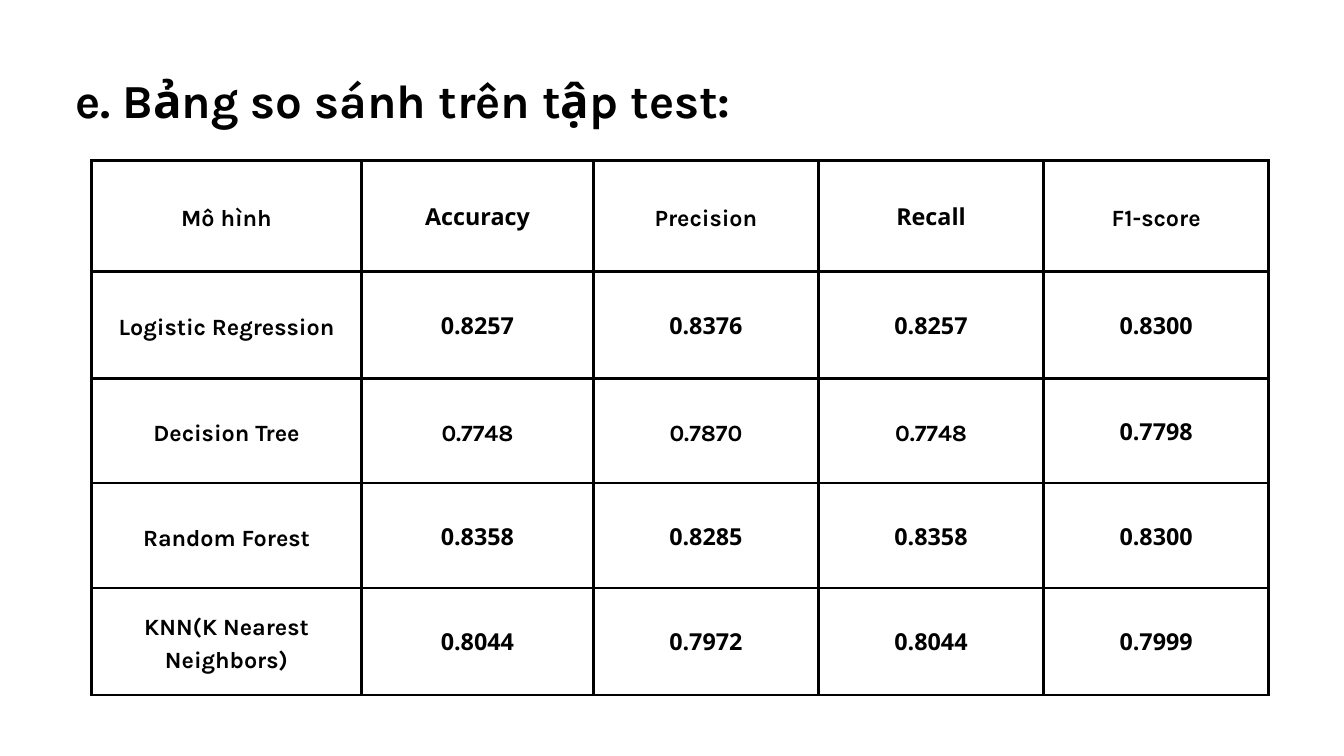
from lxml.etree import SubElement
from pptx import Presentation
from pptx.dml.color import RGBColor
from pptx.enum.text import MSO_ANCHOR, MSO_AUTO_SIZE, PP_ALIGN
from pptx.oxml.ns import qn
from pptx.util import Inches, Pt

BLACK = "000000"
WHITE = "FFFFFF"
COLS = [4.02, 3.45, 3.35, 3.35, 3.35]
ROWS = [1.65, 1.59, 1.56, 1.56, 1.59]
SCORES = [
    ["Mô hình", "Accuracy", "Precision", "Recall", "F1-score"],
    ["Logistic Regression", "0.8257", "0.8376", "0.8257", "0.8300"],
    ["Decision Tree", "0.7748", "0.7870", "0.7748", "0.7798"],
    ["Random Forest", "0.8358", "0.8285", "0.8358", "0.8300"],
    ["KNN(K Nearest Neighbors)", "0.8044", "0.7972", "0.8044", "0.7999"],
]
# Cells outside the first column that keep the heading font
KARLA = {(0, 2), (0, 4), (2, 1), (2, 2), (2, 3)}


def color(code):
    return RGBColor.from_string(code)


def write(frame, text, size, face, lead):
    """Set one bold paragraph with a fixed line height in points."""
    frame.word_wrap = True
    para = frame.paragraphs[0]
    para.text = text
    para.line_spacing = Pt(lead)
    font = para.runs[0].font
    font.size = Pt(size)
    font.name = face
    font.bold = True
    font.color.rgb = color(BLACK)
    return para


def add_title(slide, text):
    box = slide.shapes.add_textbox(
        Inches(1.12), Inches(0.91), Inches(17.75), Inches(1.06))
    frame = box.text_frame
    frame.margin_left = frame.margin_right = 0
    frame.margin_top = frame.margin_bottom = 0
    write(frame, text, 50.8, "Karla", 71.2)
    frame.auto_size = MSO_AUTO_SIZE.SHAPE_TO_FIT_TEXT


def set_border(cell, width):
    props = cell._tc.get_or_add_tcPr()
    for place, side in enumerate(("a:lnL", "a:lnR", "a:lnT", "a:lnB")):
        line = SubElement(props, qn(side), w=str(Pt(width)))
        fill = SubElement(line, qn("a:solidFill"))
        SubElement(fill, qn("a:srgbClr"), val=BLACK)
        props.insert(place, line)


def fill_cell(cell, text, face):
    cell.vertical_anchor = MSO_ANCHOR.MIDDLE
    cell.margin_left = cell.margin_right = Inches(0.21)
    cell.margin_top = cell.margin_bottom = Inches(0.21)
    cell.fill.solid()
    cell.fill.fore_color.rgb = color(WHITE)
    set_border(cell, 3)
    para = write(cell.text_frame, text, 25, face, 35)
    para.alignment = PP_ALIGN.CENTER


def add_scores(slide):
    frame = slide.shapes.add_table(
        len(ROWS), len(COLS), Inches(1.36), Inches(2.39),
        Inches(sum(COLS)), Inches(sum(ROWS)))
    table = frame.table
    for col, width in zip(table.columns, COLS):
        col.width = Inches(width)
    for row, height in zip(table.rows, ROWS):
        row.height = Inches(height)
    for r, line in enumerate(SCORES):
        for c, text in enumerate(line):
            face = "Karla" if c == 0 or (r, c) in KARLA else "Noto Sans"
            fill_cell(table.cell(r, c), text, face)


def main():
    deck = Presentation()
    deck.slide_width = Inches(20)
    deck.slide_height = Inches(11.25)
    slide = deck.slides.add_slide(deck.slide_layouts[6])
    slide.background.fill.solid()
    slide.background.fill.fore_color.rgb = color(WHITE)
    add_scores(slide)
    add_title(slide, "e. Bảng so sánh trên tập test:")
    deck.save("out.pptx")


if __name__ == "__main__":
    main()
